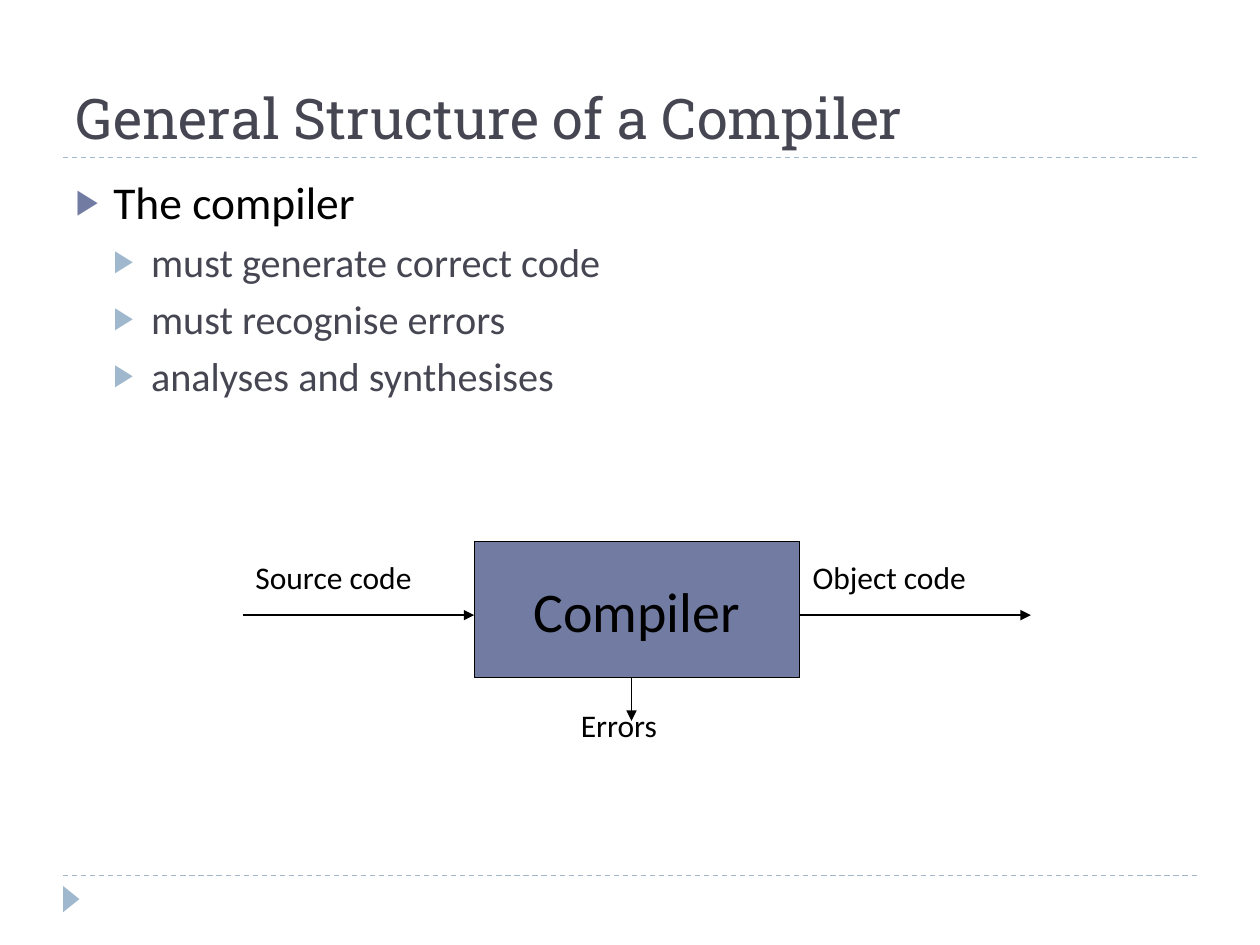
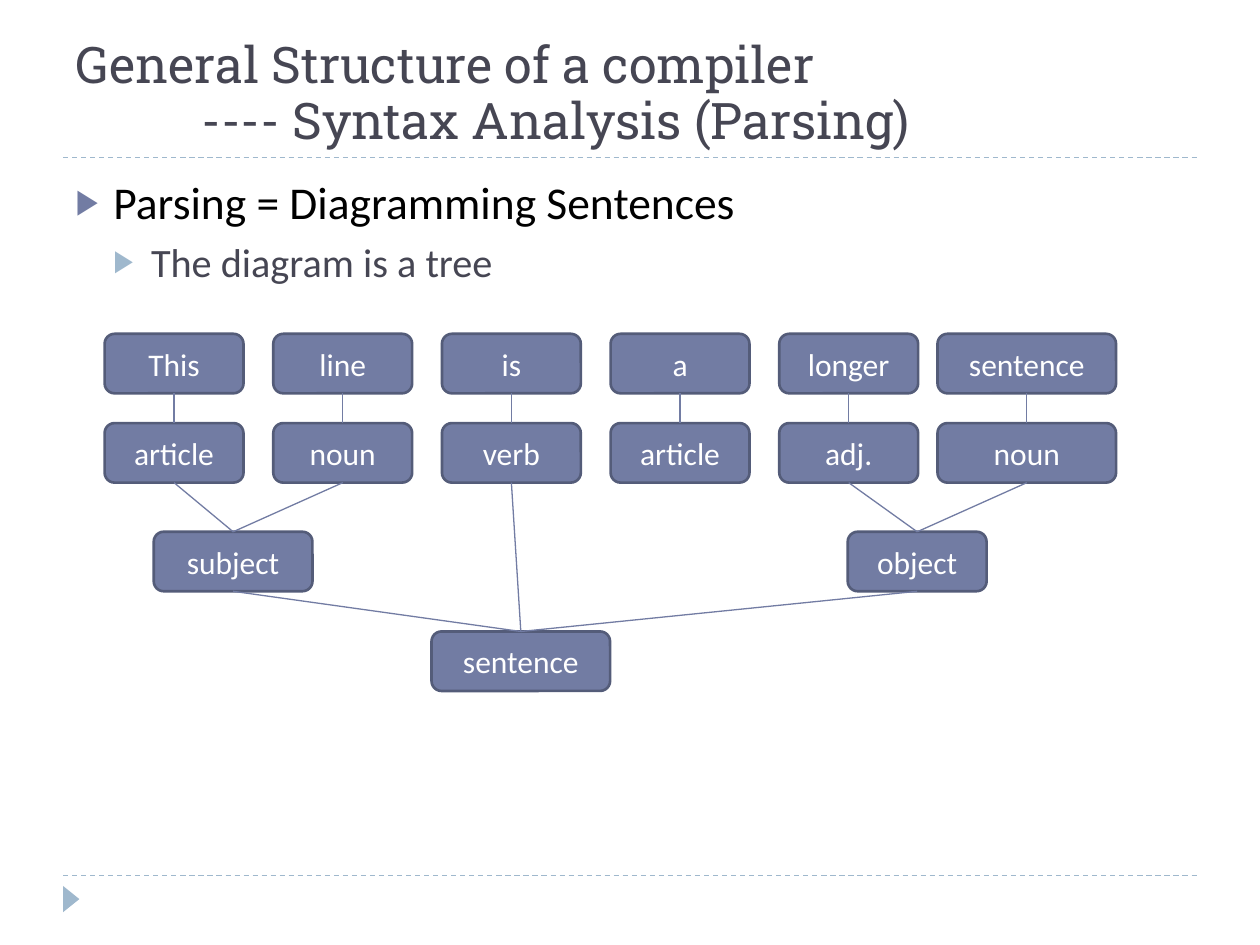
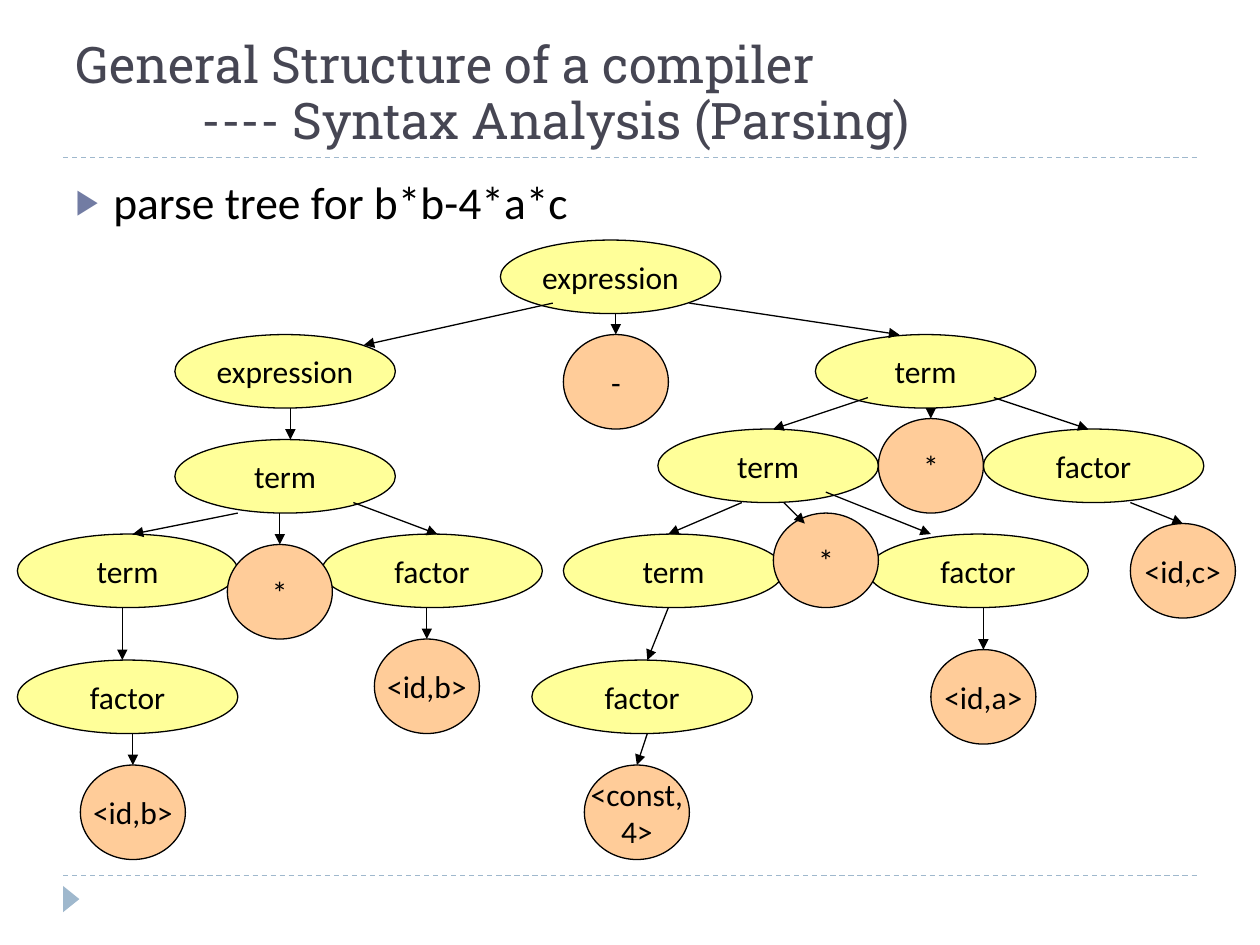
from lxml.etree import SubElement
from pptx import Presentation
from pptx.dml.color import RGBColor
from pptx.enum.dml import MSO_LINE
from pptx.enum.shapes import MSO_CONNECTOR, MSO_SHAPE as SHAPE
from pptx.enum.text import MSO_ANCHOR as ANCHOR, MSO_AUTO_SIZE as FIT, PP_ALIGN as ALIGN
from pptx.oxml.ns import qn
from pptx.util import Cm, Pt

BLACK = RGBColor(0x00, 0x00, 0x00)
WHITE = RGBColor(0xFF, 0xFF, 0xFF)
SLATE = RGBColor(0x46, 0x46, 0x53)
INDIGO = RGBColor(0x72, 0x7C, 0xA3)
DEEP_INDIGO = RGBColor(0x54, 0x5C, 0x79)
SKY = RGBColor(0x9F, 0xB8, 0xCD)
YELLOW = RGBColor(0xFF, 0xFF, 0x99)
PEACH = RGBColor(0xFF, 0xCC, 0x99)

HEAD_FONT, BODY_FONT = "Roboto Slab", "Calibri"
LEVELS = [
    {"size": 26, "color": BLACK, "bullet": INDIGO, "before": 6},
    {"size": 23, "color": SLATE, "bullet": SKY, "before": 5},
]
INDENT = Cm(0.76)
GRID = Cm(2.54) // 12
TREE_LEFT, TREE_TOP = Cm(0.35), Cm(4.84)
PARSING_TITLE = "General Structure of a compiler\v\t\t---- Syntax Analysis (Parsing)"


def cms(*values):
    return [Cm(v) for v in values]


def assign(obj, fmt):
    for name, value in fmt.items():
        setattr(obj, name, value)


class Deck:
    def __init__(self):
        self.prs = Presentation()
        assign(self.prs, {"slide_width": Cm(25.4), "slide_height": Cm(19.05)})
        self.s = None

    def slide(self, title, items, size=32, spacing=1.0):
        self.s = self.prs.slides.add_slide(self.prs.slide_layouts[1])
        for y in (17.65, 3.18):
            self.line(cms(1.27, y), cms(24.13, y), SKY, dash=True)
        self.shape(SHAPE.ISOSCELES_TRIANGLE, cms(1.17, 17.96, 0.53, 0.33), SKY).rotation = 90
        self.title(title, size, spacing)
        self.bullets(items)

    def place(self, sp, box):
        assign(sp, dict(zip(("left", "top", "width", "height"), box)))

    def font(self, p, name, size, color):
        for r in p.runs:
            assign(r.font, {"name": name, "size": Pt(size)})
            r.font.color.rgb = color

    def title(self, text, size, spacing):
        sp = self.s.shapes.title
        self.place(sp, cms(1.27, 0.43, 22.86, 2.74))
        tf = sp.text_frame
        assign(tf, {"vertical_anchor": ANCHOR.BOTTOM, "auto_size": FIT.NONE})
        p = tf.paragraphs[0]
        assign(p, {"text": text, "alignment": ALIGN.LEFT, "line_spacing": spacing})
        self.font(p, HEAD_FONT, size, SLATE)

    def bullets(self, items):
        sp = self.s.placeholders[1]
        self.place(sp, cms(1.27, 3.38, 22.86, 13.72))
        tf = sp.text_frame
        tf.auto_size = FIT.NONE
        tf.text = "\n".join(text for level, text in items)
        for p, (level, text) in zip(tf.paragraphs, items):
            style = LEVELS[level]
            assign(p, {"level": level, "space_before": Pt(style["before"])})
            self.font(p, BODY_FONT, style["size"], style["color"])
            ppr = p._p.get_or_add_pPr()
            ppr.set("marL", str(INDENT * (level + 1)))
            ppr.set("indent", str(-INDENT))
            clr = SubElement(ppr, qn("a:buClr"))
            SubElement(clr, qn("a:srgbClr"), val=str(style["bullet"]))
            SubElement(ppr, qn("a:buSzPct"), val="76000")
            SubElement(ppr, qn("a:buChar"), char="▶")

    def shape(self, kind, box, fill, outline=None, width=0.75):
        sp = self.s.shapes.add_shape(kind, *box)
        sp.shadow.inherit = False
        sp.fill.solid()
        sp.fill.fore_color.rgb = fill
        if outline is None:
            sp.line.fill.background()
        else:
            sp.line.color.rgb = outline
            sp.line.width = Pt(width)
        return sp

    def node(self, kind, box, text, fill, outline=BLACK, width=0.75,
             size=18, color=BLACK, wrap=False):
        sp = self.shape(kind, box, fill, outline, width)
        tf = sp.text_frame
        assign(tf, {"text": text, "word_wrap": wrap, "vertical_anchor": ANCHOR.MIDDLE})
        for p in tf.paragraphs:
            p.alignment = ALIGN.CENTER
            self.font(p, BODY_FONT, size, color)
        return sp

    def label(self, box, text):
        tf = self.s.shapes.add_textbox(*box).text_frame
        assign(tf, {"text": text, "word_wrap": False, "auto_size": FIT.SHAPE_TO_FIT_TEXT})
        self.font(tf.paragraphs[0], BODY_FONT, 18, BLACK)

    def line(self, start, end, color, dash=False, arrow=False):
        cx = self.s.shapes.add_connector(MSO_CONNECTOR.STRAIGHT, *start, *end)
        cx.line.color.rgb = color
        cx.line.width = Pt(0.75)
        if dash:
            cx.line.dash_style = MSO_LINE.DASH
        sppr = cx._element.spPr
        if arrow:
            SubElement(sppr.find(qn("a:ln")), qn("a:tailEnd"), type="triangle")
        SubElement(sppr, qn("a:effectLst"))
        return cx

    def arrow(self, start, end):
        self.line(start, end, BLACK, arrow=True)

    def link(self, upper, lower):
        cx = self.line((0, 0), (0, 0), INDIGO)
        cx.begin_connect(upper, 2)
        cx.end_connect(lower, 0)


def compiler_slide(deck):
    deck.slide("General Structure of a Compiler", [
        (0, "The compiler"),
        (1, "must generate correct code"),
        (1, "must recognise errors"),
        (1, "analyses and synthesises"),
    ])
    deck.node(SHAPE.RECTANGLE, cms(9.56, 10.92, 6.56, 2.74), "Compiler", INDIGO, size=32)
    for start, end in [((4.9, 12.4), (9.56, 12.4)), ((16.12, 12.4), (20.78, 12.4)),
                       ((12.73, 13.66), (12.73, 14.53))]:
        deck.arrow(cms(*start), cms(*end))
    for x, y, w, text in [(4.9, 11.13, 4.32, "Source code"), (11.46, 14.1, 2.31, "Errors"),
                          (16.13, 11.13, 4.24, "Object code")]:
        deck.label(cms(x, y, w, 1.02), text)


def sentence_slide(deck):
    deck.slide(PARSING_TITLE, [
        (0, "Parsing = Diagramming Sentences"),
        (1, "The diagram is a tree"),
    ], 28.8, 0.93)

    def box(x, y, w, text):
        return deck.node(SHAPE.ROUNDED_RECTANGLE, cms(x, y, w, 1.2), text, INDIGO,
                         DEEP_INDIGO, 1.5, color=WHITE, wrap=True)

    columns = [(2.11 + 3.4 * i, 2.8) for i in range(5)] + [(18.9, 3.6)]
    words, kinds = [
        [box(x, y, w, text) for (x, w), text in zip(columns, texts)]
        for y, texts in [
            (6.73, ["This", "line", "is", "a", "longer", "sentence"]),
            (8.53, ["article", "noun", "verb", "article", "adj.", "noun"]),
        ]
    ]
    subject = box(3.1, 10.72, 3.2, "subject")
    obj = box(17.09, 10.72, 2.8, "object")
    sentence = box(8.7, 12.73, 3.6, "sentence")
    links = list(zip(words, kinds)) + [
        (kinds[0], subject), (kinds[1], subject), (kinds[4], obj), (kinds[5], obj),
        (subject, sentence), (kinds[2], sentence), (obj, sentence),
    ]
    for upper, lower in links:
        deck.link(upper, lower)


def parse_tree_slide(deck):
    deck.slide(PARSING_TITLE, [(0, "parse tree for b*b-4*a*c")], 28.8, 0.93)

    def at(x, y):
        return [TREE_LEFT + GRID * x, TREE_TOP + GRID * y]

    rules = [
        (46, 0, "expression"), (15, 9, "expression"), (61, 18, "term"), (29, 28, "factor"),
        (0, 28, "term"), (76, 9, "term"), (0, 40, "factor"), (15, 19, "term"),
        (92, 18, "factor"), (81, 28, "factor"), (52, 28, "term"), (49, 40, "factor"),
    ]
    tokens = [
        (52, 9, "-"), (20, 29, "*"), (72, 26, "*"), (6, 50, "<id,b>"),
        (54, 50, "<const,\n4>"), (34, 38, "<id,b>"), (82, 17, "*"),
        (106, 27, "<id,c>"), (87, 39, "<id,a>"),
    ]
    for nodes, w, h, fill in [(rules, 21, 7, YELLOW), (tokens, 10, 9, PEACH)]:
        for x, y, text in nodes:
            deck.node(SHAPE.OVAL, at(x, y) + [GRID * w, GRID * h], text, fill)
    for x1, y1, x2, y2 in [
        (51, 6, 33, 10), (64, 6, 84, 9), (57, 7, 57, 9), (26, 16, 26, 19),
        (21, 26, 11, 28), (32, 25, 40, 28), (25, 26, 25, 29), (10, 35, 10, 40),
        (11, 47, 11, 50), (39, 35, 39, 38), (81, 15, 72, 18), (87, 16, 87, 17),
        (93, 15, 102, 18), (69, 25, 62, 28), (62, 35, 60, 40), (60, 47, 59, 50),
        (77, 24, 87, 28), (73, 25, 75, 27), (92, 35, 92, 39), (106, 25, 111, 27),
    ]:
        deck.arrow(at(x1, y1), at(x2, y2))


def main():
    deck = Deck()
    compiler_slide(deck)
    sentence_slide(deck)
    parse_tree_slide(deck)
    deck.prs.save("out.pptx")


if __name__ == "__main__":
    main()
